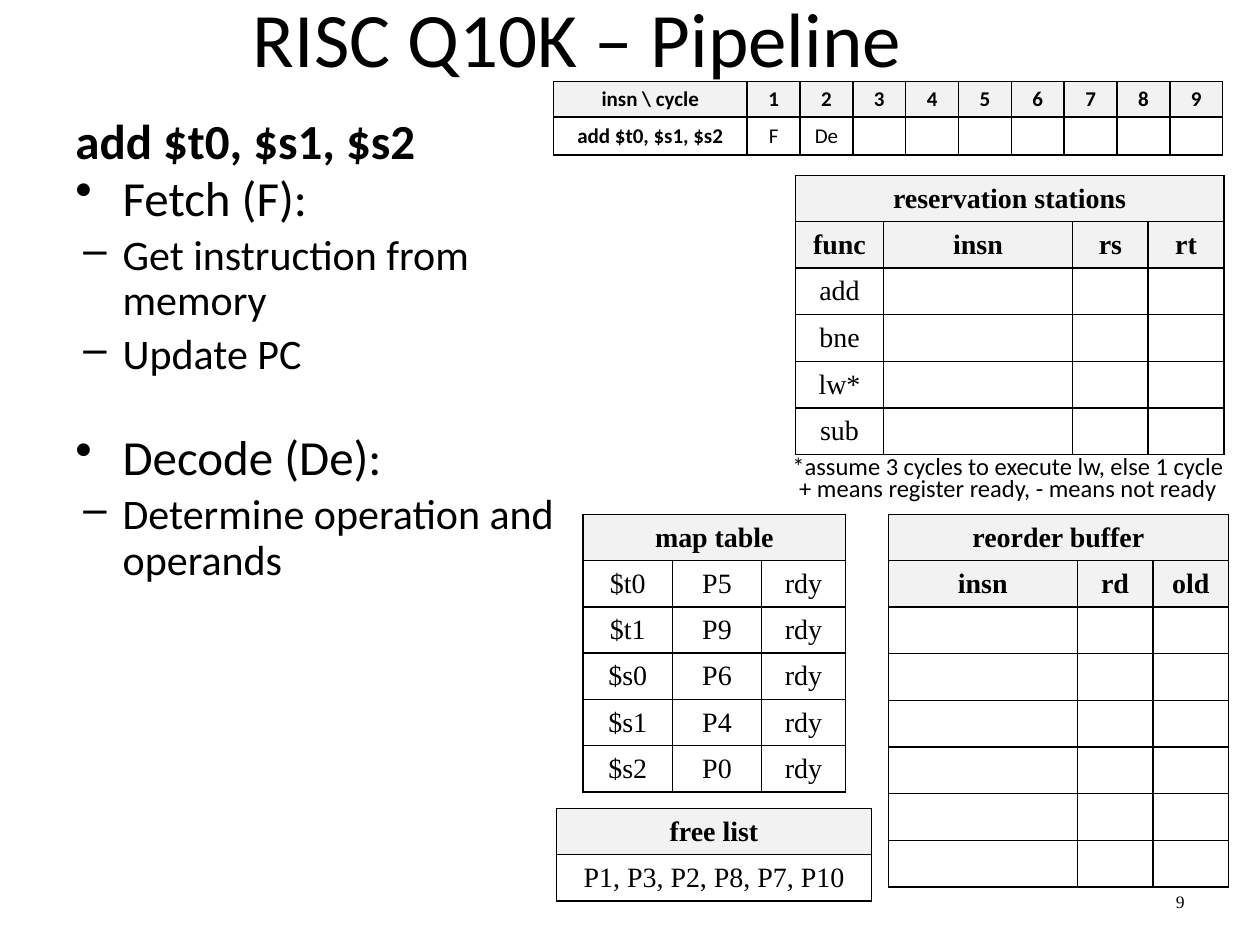
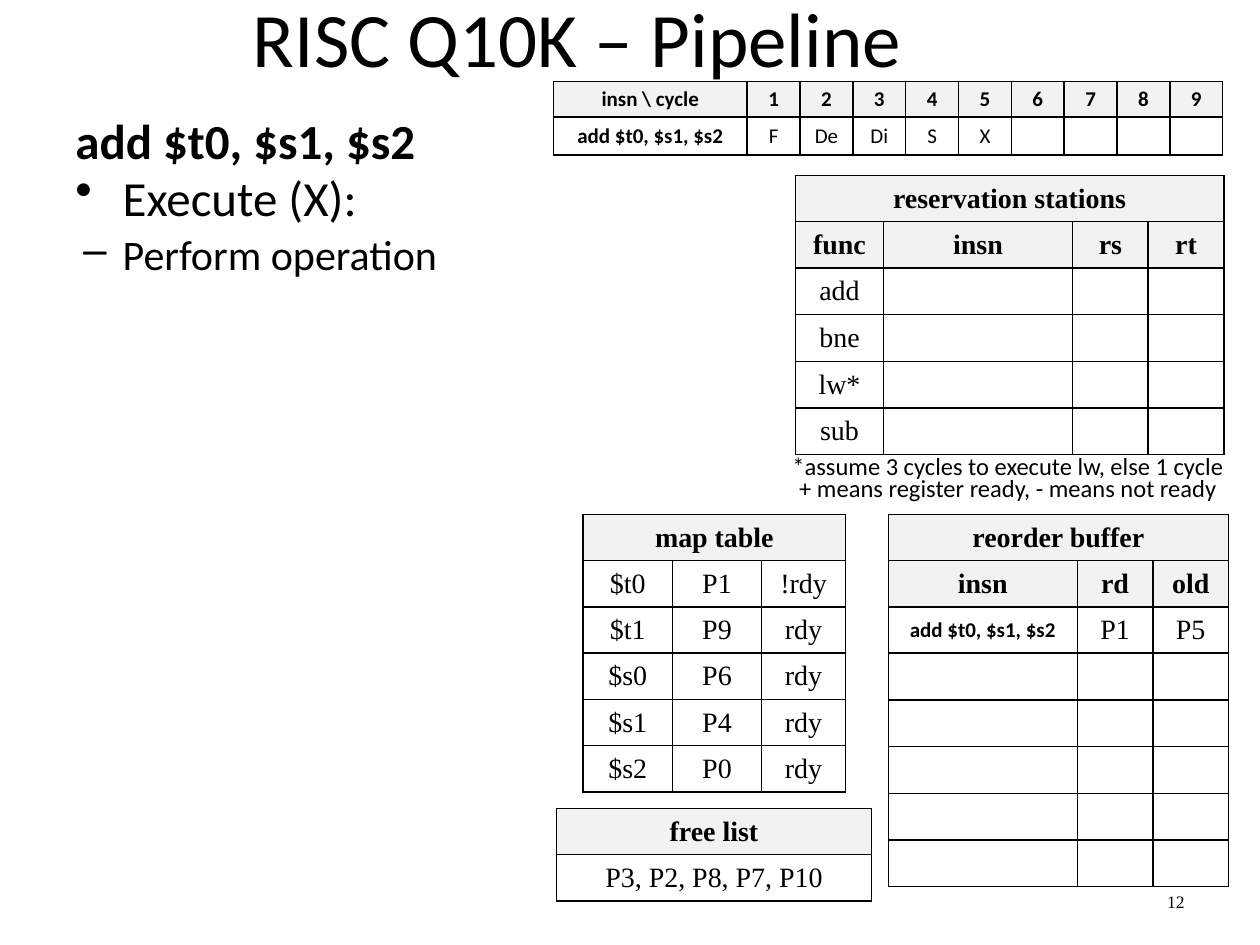
from lxml.etree import SubElement
from pptx import Presentation
from pptx.dml.color import RGBColor
from pptx.enum.text import MSO_ANCHOR, MSO_AUTO_SIZE, PP_ALIGN
from pptx.oxml.ns import qn
from pptx.util import Pt

COLORS = {"text": "000000", "line": "000000", "head": "F2F2F2", "cell": "FFFFFF"}
TITLE = {"name": "Calibri", "size": Pt(44), "bold": False}
TOPIC = {"name": "Calibri", "size": Pt(28), "bold": True}
STAGE = {"name": "Calibri", "size": Pt(28), "bold": False}
STEP = {"name": "Calibri", "size": Pt(24), "bold": False}
NOTE = {"name": "Calibri", "size": Pt(14), "bold": False}
NUMBER = {"name": "Times New Roman", "size": Pt(10), "bold": False}
STATE = {"name": "Times New Roman", "size": Pt(16), "bold": False}
CYCLE = {"name": "Calibri", "size": Pt(12), "bold": False}

INSN = "add $t0, $s1, $s2"
REGISTERS = ["$t0", "$t1", "$s0", "$s1", "$s2"]
UNITS = ["add", "bne", "lw*", "sub"]
NOTES = ["*assume 3 cycles to execute lw, else 1 cycle",
         "+ means register ready, - means not ready"]
CYCLES = 9
ROB_SIZE = 6

SLIDES = [
    {"number": "9", "stages": ["F", "De"],
     "steps": [("Fetch (F):", ["Get instruction from memory", "Update PC"]),
               ("Decode (De):", ["Determine operation and operands"])],
     "map": [("P5", "rdy"), ("P9", "rdy"), ("P6", "rdy"), ("P4", "rdy"), ("P0", "rdy")],
     "free": "P1, P3, P2, P8, P7, P10", "rob": []},
    {"number": "12", "stages": ["F", "De", "Di", "S", "X"],
     "steps": [("Execute (X):", ["Perform operation"])],
     "map": [("P1", "!rdy"), ("P9", "rdy"), ("P6", "rdy"), ("P4", "rdy"), ("P0", "rdy")],
     "free": "P3, P2, P8, P7, P10", "rob": [[INSN, "P1", "P5"]]},
]


class Deck:
    """Holds the shared style and the slide being filled."""

    def __init__(self):
        self.prs = Presentation()
        self.prs.slide_width, self.prs.slide_height = Pt(720), Pt(540)
        self.s = None

    def slide(self, title):
        self.s = self.prs.slides.add_slide(self.prs.slide_layouts[5])
        sp = self.s.shapes.title
        sp.left, sp.top, sp.width, sp.height = Pt(36), Pt(-24), Pt(588), Pt(90)
        tf = sp.text_frame
        tf.auto_size = MSO_AUTO_SIZE.NONE
        tf.vertical_anchor = MSO_ANCHOR.MIDDLE
        self.text(tf.paragraphs[0], title, TITLE, PP_ALIGN.CENTER)

    def text(self, p, content, style, align):
        p.alignment = align
        r = p.add_run()
        r.text = content
        for key, value in style.items():
            setattr(r.font, key, value)
        r.font.color.rgb = RGBColor.from_string(COLORS["text"])

    def box(self, x, y, w, h, anchor=MSO_ANCHOR.MIDDLE):
        tf = self.s.shapes.add_textbox(Pt(x), Pt(y), Pt(w), Pt(h)).text_frame
        tf.word_wrap = True
        tf.vertical_anchor = anchor
        return tf

    def label(self, x, y, w, h, content, style, align):
        self.text(self.box(x, y, w, h).paragraphs[0], content, style, align)

    def bullet(self, p, char, indent):
        pPr = p._p.get_or_add_pPr()
        pPr.set("marL", str(Pt(27)))
        pPr.set("indent", str(Pt(-indent)))
        SubElement(pPr, qn("a:buChar"), char=char)

    def outline(self, x, y, w, h, topic, steps):
        tf = self.box(x, y, w, h, MSO_ANCHOR.TOP)
        p = tf.paragraphs[0]
        p.line_spacing = 0.8
        self.text(p, topic, TOPIC, PP_ALIGN.LEFT)
        for i, (stage, actions) in enumerate(steps):
            p = tf.add_paragraph()
            p.line_spacing, p.space_before = 0.8, Pt(34 if i else 5.6)
            self.bullet(p, "•", 27)
            self.text(p, stage, STAGE, PP_ALIGN.LEFT)
            for action in actions:
                p = tf.add_paragraph()
                p.level = 1
                p.line_spacing, p.space_before = 0.9, Pt(4.8)
                self.bullet(p, "–", 22.5)
                self.text(p, action, STEP, PP_ALIGN.LEFT)

    def cell(self, cell, content, style, head):
        tcPr = cell._tc.get_or_add_tcPr()
        for side in ("lnL", "lnR", "lnT", "lnB"):
            ln = SubElement(tcPr, qn("a:" + side), w=str(Pt(1)))
            SubElement(SubElement(ln, qn("a:solidFill")), qn("a:srgbClr"), val=COLORS["line"])
        cell.fill.solid()
        cell.fill.fore_color.rgb = RGBColor.from_string(COLORS["head" if head else "cell"])
        cell.vertical_anchor = MSO_ANCHOR.MIDDLE
        p = cell.text_frame.paragraphs[0]
        if content == INSN:
            style = CYCLE
        if style is CYCLE:
            p.line_spacing = 0.9
        if content:
            bold = head or content == INSN
            self.text(p, content, {**style, "bold": bold}, PP_ALIGN.CENTER)
        else:
            SubElement(p._p, qn("a:endParaRPr"), sz=str(int(style["size"].pt * 100)))

    def table(self, x, y, widths, rows, heads=1, caption=None, style=STATE, heights=(25, 26.7)):
        if caption:
            rows = [[caption] * len(widths)] + rows
        row_heights = [heights[0] if all(row) else heights[1] for row in rows]
        tb = self.s.shapes.add_table(len(rows), len(widths), Pt(x), Pt(y),
                                     Pt(sum(widths)), Pt(sum(row_heights))).table
        for col, w in zip(tb.columns, widths):
            col.width = Pt(w)
        for i, (row, h) in enumerate(zip(rows, row_heights)):
            tb.rows[i].height = Pt(h)
            for j, content in enumerate(row):
                shown = "" if caption and i == 0 and j else content
                self.cell(tb.cell(i, j), shown, style, i < heads)
        if caption and len(widths) > 1:
            tb.cell(0, 0).merge(tb.cell(0, len(widths) - 1))


def build(deck, data):
    deck.slide("RISC Q10K – Pipeline")
    deck.label(600, 500.5, 84, 29, data["number"], NUMBER, PP_ALIGN.RIGHT)

    cycles = [str(n + 1) for n in range(CYCLES)]
    stages = data["stages"] + [""] * (CYCLES - len(data["stages"]))
    deck.table(316.2, 46.5, [110.8] + [30.2] * CYCLES,
               [["insn \\ cycle"] + cycles, [INSN] + stages],
               style=CYCLE, heights=(20.5, 21.6))

    deck.table(333.2, 294, [51, 51, 48],
               [[reg, *entry] for reg, entry in zip(REGISTERS, data["map"])],
               caption="map table")
    deck.table(318, 462, [180], [[data["free"]]], caption="free list")
    deck.table(454.5, 100.3, [50.4, 108, 43.2, 43.2],
               [["func", "insn", "rs", "rt"]] + [[unit, "", "", ""] for unit in UNITS],
               heads=2, caption="reservation stations")
    empty = [[""] * 3 for _ in range(ROB_SIZE - len(data["rob"]))]
    deck.table(507.6, 294, [108, 43.2, 43.2],
               [["insn", "rd", "old"]] + data["rob"] + empty,
               heads=2, caption="reorder buffer")

    for i, note in enumerate(NOTES):
        deck.label(438, 248.4 + 12.2 * i, 276, 36, note, NOTE, PP_ALIGN.CENTER)
    deck.outline(36, 66, 297.5, 356, INSN, data["steps"])


def main():
    deck = Deck()
    for data in SLIDES:
        build(deck, data)
    deck.prs.save("out.pptx")


if __name__ == "__main__":
    main()
